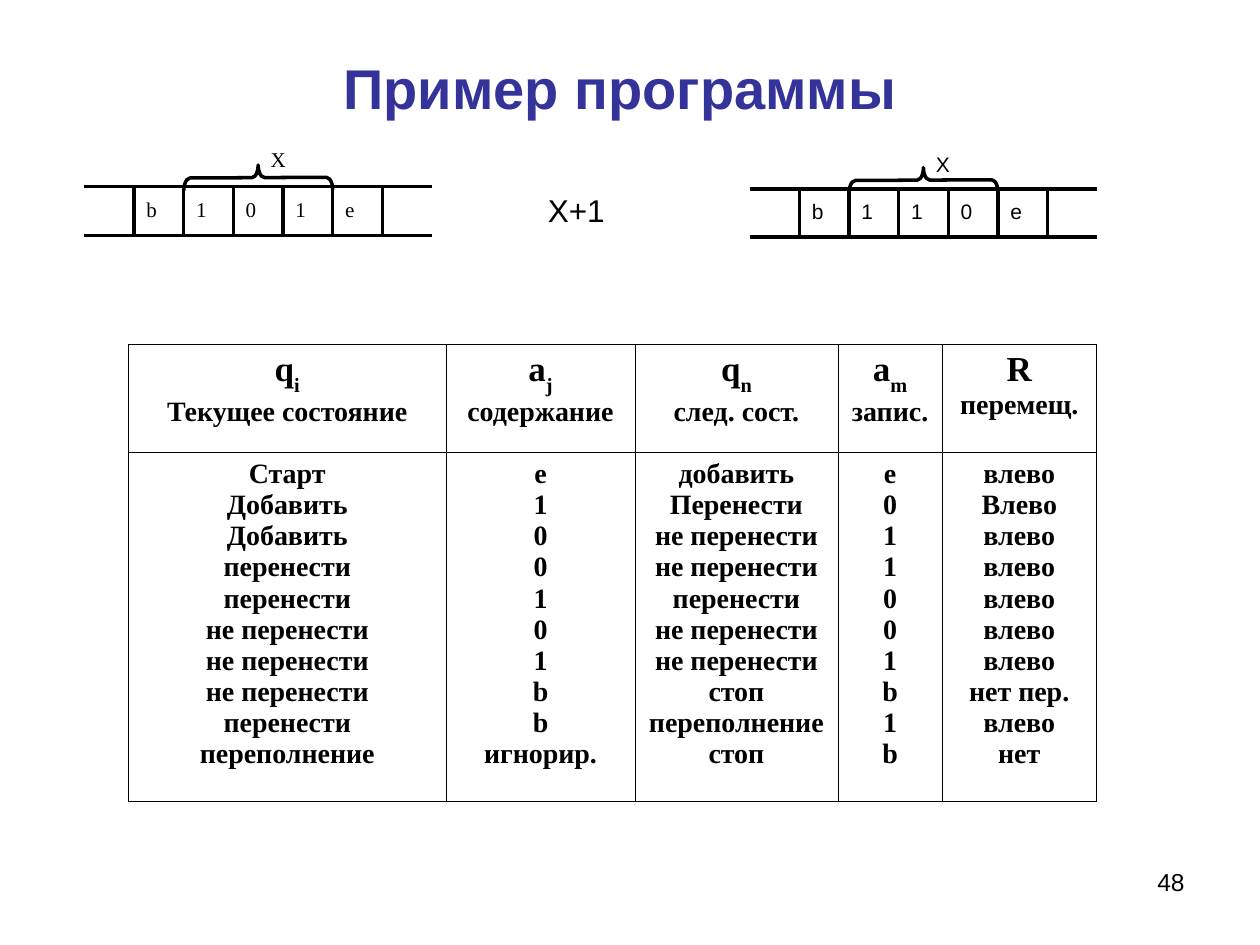
import pptx
import pptx.dml.color
import pptx.enum.shapes
import pptx.enum.text
import pptx.oxml.xmlchemy
import pptx.util
from pptx.util import Inches

SANS = "Arial"
SERIF = "Times New Roman"
BLACK = "000000"
ALIGN = pptx.enum.text.PP_ALIGN
ANCHOR = pptx.enum.text.MSO_ANCHOR
CELL = 0.394  # width of one tape cell

COLUMN_WIDTHS = [2.52, 1.5, 1.61, 0.83, 1.22]
# Symbol, subscript, caption
HEADERS = [
    ("q", "i", "Текущее состояние"),
    ("a", "j", "содержание"),
    ("q", "n", "след. сост."),
    ("a", "m", "запис."),
    ("R", "", "перемещ."),
]
RULES = [
    ("Старт", "e", "добавить", "e", "влево"),
    ("Добавить", "1", "Перенести", "0", "Влево"),
    ("Добавить", "0", "не перенести", "1", "влево"),
    ("перенести", "0", "не перенести", "1", "влево"),
    ("перенести", "1", "перенести", "0", "влево"),
    ("не перенести", "0", "не перенести", "0", "влево"),
    ("не перенести", "1", "не перенести", "1", "влево"),
    ("не перенести", "b", "стоп", "b", "нет пер."),
    ("перенести", "b", "переполнение", "1", "влево"),
    ("переполнение", "игнорир.", "стоп", "b", "нет"),
]


def color(code):
    return pptx.dml.color.RGBColor.from_string(code)


def element(tag):
    return pptx.oxml.xmlchemy.OxmlElement(tag)


def add_span(para, text, size, font, bold=False, code=BLACK, subscript=False):
    span = para.add_run()
    span.text = text
    span.font.size = pptx.util.Pt(size)
    span.font.name = font
    span.font.bold = bold
    span.font.color.rgb = color(code)
    if subscript:
        span.font._element.set("baseline", "-30000")


def add_box(shapes, left, top, width, height, align=ALIGN.LEFT):
    """Add a wrapping text box and return its frame and first paragraph."""
    box = shapes.add_textbox(Inches(left), Inches(top), Inches(width), Inches(height))
    frame = box.text_frame
    frame.word_wrap = True
    para = frame.paragraphs[0]
    para.alignment = align
    return frame, para


def add_line(shapes, x1, y1, x2, y2):
    line = shapes.add_connector(
        pptx.enum.shapes.MSO_CONNECTOR.STRAIGHT,
        Inches(x1), Inches(y1), Inches(x2), Inches(y2))
    line.line.color.rgb = color(BLACK)
    line.line.width = pptx.util.Pt(2)
    line._element.spPr.append(element("a:effectLst"))


def add_brace(shapes, left, bottom, width, depth):
    """Add a brace that opens downwards: a left brace turned by a quarter."""
    brace = shapes.add_shape(
        pptx.enum.shapes.MSO_SHAPE.LEFT_BRACE,
        Inches(left + (width - depth) / 2), Inches(bottom - (depth + width) / 2),
        Inches(depth), Inches(width))
    brace.rotation = 89.7
    brace.adjustments[0] = 0.25
    brace.adjustments[1] = 0.5
    brace.shadow.inherit = False
    brace.fill.background()
    brace.line.color.rgb = color(BLACK)
    brace.line.width = pptx.util.Pt(2)


def add_tape(page, left, top, height, symbols, font, align, label_top):
    shapes = page.shapes.add_group_shape().shapes
    # Rails and cell dividers
    for y in (top, top + height):
        add_line(shapes, left, y, left + 7 * CELL, y)
    for index in range(1, 7):
        x = left + index * CELL
        add_line(shapes, x, top, x, top + height)
    # Brace over the three digits, with its label
    add_brace(shapes, left + 2 * CELL, top + 0.03, 3 * CELL, 0.2)
    labels = [("Х", left + 3.5 * CELL, label_top)]
    # Symbols on the tape
    labels += [(symbol, left + index * CELL, top + 0.03)
               for index, symbol in enumerate(symbols, 1)]
    for text, x, y in labels:
        para = add_box(shapes, x, y, CELL, height, align)[1]
        add_span(para, text, 12, font)


def style_cell(cell):
    """Leave the cell unfilled, with a thin black border on each side."""
    cell.fill.background()
    properties = cell._tc.get_or_add_tcPr()
    for position, side in enumerate(("a:lnL", "a:lnR", "a:lnT", "a:lnB")):
        border = element(side)
        border.set("w", str(int(pptx.util.Pt(0.45))))
        fill = element("a:solidFill")
        shade = element("a:srgbClr")
        shade.set("val", BLACK)
        fill.append(shade)
        border.append(fill)
        properties.insert(position, border)


def fill_cell(cell, lines):
    """Write centred lines, each a list of (text, size, subscript)."""
    style_cell(cell)
    frame = cell.text_frame
    for index, line in enumerate(lines):
        para = frame.add_paragraph() if index else frame.paragraphs[0]
        para.alignment = ALIGN.CENTER
        for text, size, subscript in line:
            add_span(para, text, size, SERIF, bold=True, subscript=subscript)


def add_rule_table(page):
    frame = page.shapes.add_table(
        2, len(HEADERS), Inches(1.02), Inches(2.73),
        Inches(sum(COLUMN_WIDTHS)), Inches(3.63))
    table = frame.table
    table.first_row = False
    table.horz_banding = False
    table.rows[0].height = Inches(0.86)
    table.rows[1].height = Inches(2.77)
    for index, (header, values) in enumerate(zip(HEADERS, zip(*RULES))):
        table.columns[index].width = Inches(COLUMN_WIDTHS[index])
        symbol, subscript, caption = header
        heading = [(symbol, 20, False)]
        if subscript:
            heading.append((subscript, 20, True))
        fill_cell(table.cell(0, index), [heading, [(caption, 16, False)]])
        fill_cell(table.cell(1, index), [[(value, 16, False)] for value in values])


def main():
    deck = pptx.Presentation()
    deck.slide_width = Inches(10)
    deck.slide_height = Inches(7.5)
    page = deck.slides.add_slide(deck.slide_layouts[6])

    # Title
    frame, para = add_box(page.shapes, 0.5, 0.3, 9, 0.69, ALIGN.CENTER)
    frame.vertical_anchor = ANCHOR.MIDDLE
    add_span(para, "Пример программы", 32, SANS, bold=True, code="333399")
    add_span(para, " ", 40, SANS)

    # Tape before, transition rules, operation, tape after
    add_tape(page, 0.67, 1.48, 0.39, "b101e", SERIF, ALIGN.JUSTIFY, 1.11)
    add_rule_table(page)
    para = add_box(page.shapes, 4.25, 1.47, 0.91, 0.4)[1]
    add_span(para, "X+1", 18, SANS)
    add_tape(page, 5.95, 1.5, 0.38, "b110e", SANS, ALIGN.LEFT, 1.15)

    # Page number
    para = add_box(page.shapes, 7.17, 6.83, 2.33, 0.52, ALIGN.RIGHT)[1]
    add_span(para, "48", 14, SANS)

    deck.save("out.pptx")


if __name__ == "__main__":
    main()
